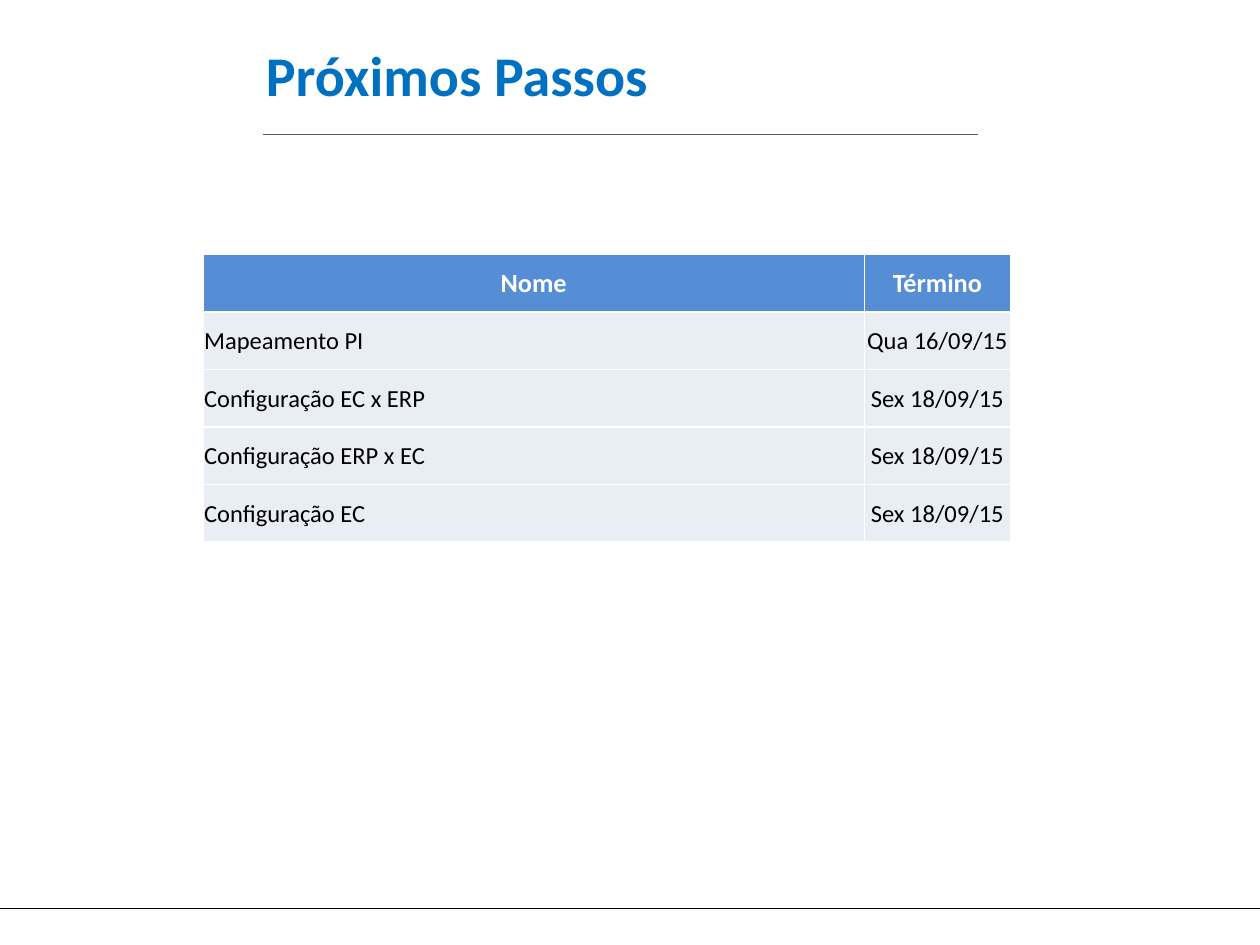
from lxml import etree
from pptx import Presentation
from pptx.dml.color import RGBColor
from pptx.enum import shapes, text
from pptx.oxml.ns import qn
from pptx.util import Inches, Pt

FONT = "Calibri"
TITLE_ONLY = 5
COLUMN_WIDTHS = (5.25, 1.16)
ROW_HEIGHT = 0.456
ROWS = [
    ("Nome", "Término"),
    ("Mapeamento PI", "Qua 16/09/15"),
    ("Configuração EC x ERP", "Sex 18/09/15"),
    ("Configuração ERP x EC", "Sex 18/09/15"),
    ("Configuração EC", "Sex 18/09/15"),
]


def color(value):
    return RGBColor.from_string(value)


def format_paragraph(paragraph, size, font_color, bold, alignment):
    paragraph.alignment = alignment
    paragraph.font.name = FONT
    paragraph.font.size = Pt(size)
    paragraph.font.bold = bold
    paragraph.font.color.rgb = color(font_color)


def add_rule(slide, left, right, top, line_color, width):
    """Draw a horizontal line without a shadow."""
    rule = slide.shapes.add_connector(
        shapes.MSO_CONNECTOR.STRAIGHT,
        Inches(left), Inches(top), Inches(right), Inches(top))
    rule.line.color.rgb = color(line_color)
    rule.line.width = Pt(width)
    etree.SubElement(rule._element.spPr, qn("a:effectLst"))


def set_title(slide, words):
    title = slide.shapes.title
    title.left, title.top = Inches(2.01), Inches(0.15)
    title.width, title.height = Inches(6.17), Inches(0.87)
    frame = title.text_frame
    frame.text = words
    frame.vertical_anchor = text.MSO_ANCHOR.MIDDLE
    format_paragraph(frame.paragraphs[0], 32, "0070C0", True, text.PP_ALIGN.LEFT)


def set_borders(cell, line_color, width):
    properties = cell._tc.get_or_add_tcPr()
    for index, side in enumerate(("lnL", "lnR", "lnT", "lnB")):
        line = etree.Element(qn(f"a:{side}"), w=str(Pt(width)))
        fill = etree.SubElement(line, qn("a:solidFill"))
        etree.SubElement(fill, qn("a:srgbClr"), val=line_color)
        properties.insert(index, line)


def fill_cell(cell, words, is_header, centered):
    cell.text = words
    cell.vertical_anchor = text.MSO_ANCHOR.MIDDLE
    cell.margin_left = cell.margin_right = cell.margin_top = Inches(0.01)
    cell.margin_bottom = 0
    cell.fill.solid()
    cell.fill.fore_color.rgb = color("558ED5" if is_header else "E9EDF4")
    set_borders(cell, "FFFFFF", 1)
    format_paragraph(
        cell.text_frame.paragraphs[0],
        15 if is_header else 14,
        "FFFFFF" if is_header else "000000",
        is_header,
        text.PP_ALIGN.CENTER if centered else text.PP_ALIGN.LEFT)


def add_schedule(slide):
    table = slide.shapes.add_table(
        len(ROWS), len(COLUMN_WIDTHS), Inches(1.61), Inches(2.02),
        Inches(sum(COLUMN_WIDTHS)), Inches(ROW_HEIGHT * len(ROWS))).table
    for column, width in zip(table.columns, COLUMN_WIDTHS):
        column.width = Inches(width)
    for row_index, values in enumerate(ROWS):
        table.rows[row_index].height = Inches(ROW_HEIGHT)
        is_header = row_index == 0
        for column_index, words in enumerate(values):
            fill_cell(table.cell(row_index, column_index), words,
                      is_header, is_header or column_index == 1)


def main():
    presentation = Presentation()
    presentation.slide_width = Inches(10)
    presentation.slide_height = Inches(7.5)
    slide = presentation.slides.add_slide(presentation.slide_layouts[TITLE_ONLY])
    add_rule(slide, 0, 10, 7.21, "000000", 0.75)
    add_rule(slide, 2.09, 7.76, 1.07, "595959", 0.5)
    set_title(slide, "Próximos Passos")
    add_schedule(slide)
    presentation.save("out.pptx")


if __name__ == "__main__":
    main()
